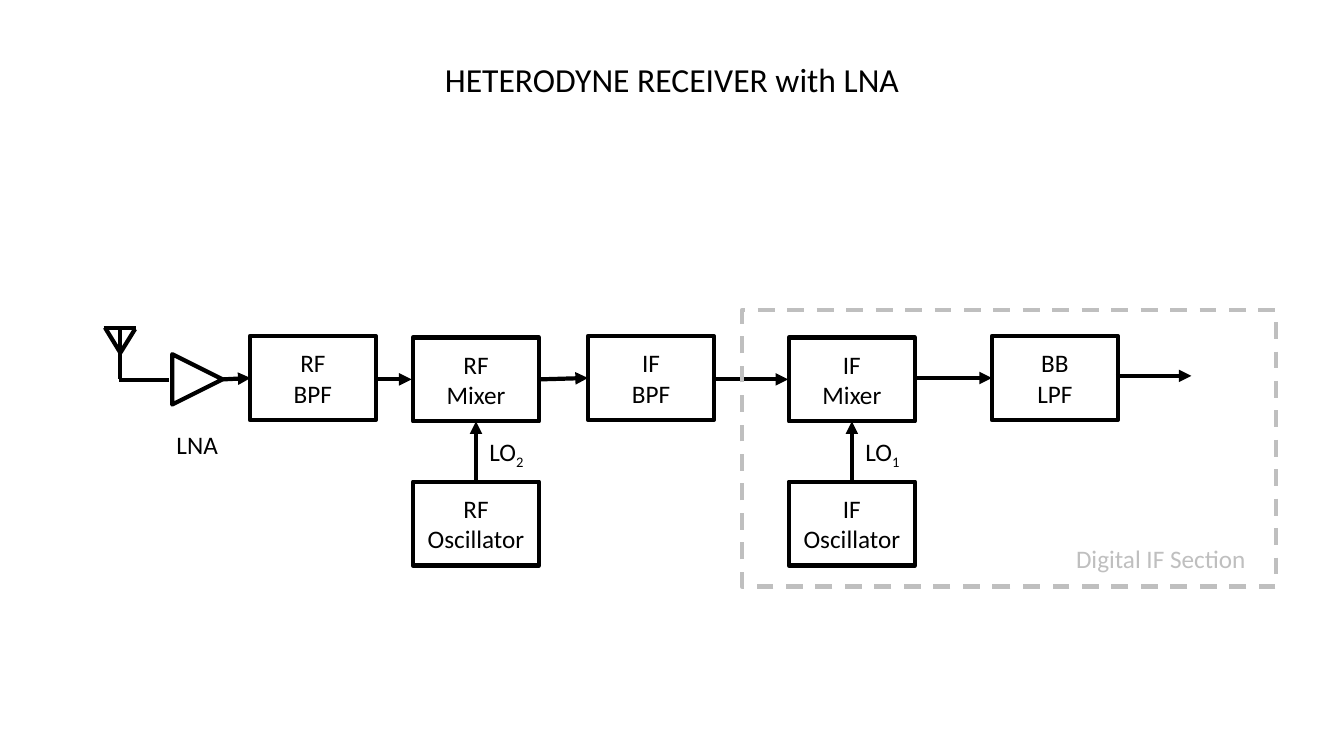
import pptx
import pptx.dml.color
import pptx.enum.dml
import pptx.enum.shapes
import pptx.enum.text
import pptx.oxml
import pptx.oxml.ns
import pptx.util

Pt = pptx.util.Pt
ALIGN = pptx.enum.text.PP_ALIGN
ANCHOR = pptx.enum.text.MSO_ANCHOR
SHAPE = pptx.enum.shapes.MSO_SHAPE
COLORS = {"ink": "000000", "digital": "BFBFBF"}
BLOCK_WIDTH, BLOCK_HEIGHT = 90, 60


def assign(target, formats):
    for attribute, value in formats.items():
        setattr(target, attribute, value)


class Diagram:
    font_name = "Calibri"
    body_size = 18
    title_size = 24
    line_width = 3

    def __init__(self, slide):
        self.slide = slide

    def color(self, key):
        return pptx.dml.color.RGBColor.from_string(COLORS[key])

    def stroke(self, line, color):
        line.color.rgb = self.color(color)
        line.width = Pt(self.line_width)

    def typeset(self, frame, text, size, color="ink", align=ALIGN.LEFT, subscript="", **formats):
        assign(frame, {"auto_size": pptx.enum.text.MSO_AUTO_SIZE.NONE, "word_wrap": False, **formats})
        paragraph = frame.paragraphs[0]
        paragraph.text = text
        paragraph.alignment = align
        if subscript:
            index = paragraph.add_run()
            index.text = subscript
            index.font._element.set("baseline", "-25000")
        for run in paragraph.runs:
            assign(run.font, {"name": self.font_name, "size": Pt(size)})
            run.font.color.rgb = self.color(color)

    def title(self, text, left, top, width, height):
        heading = self.slide.shapes.title
        assign(heading, {"left": Pt(left), "top": Pt(top), "width": Pt(width), "height": Pt(height)})
        self.typeset(heading.text_frame, text, self.title_size, align=ALIGN.CENTER,
                     vertical_anchor=ANCHOR.MIDDLE)

    def outline(self, kind, left, top, width, height, color="ink", dash=None, rotation=0):
        shape = self.slide.shapes.add_shape(kind, Pt(left), Pt(top), Pt(width), Pt(height))
        shape.shadow.inherit = False
        shape.fill.background()
        shape.rotation = rotation
        self.stroke(shape.line, color)
        if dash:
            shape.line.dash_style = dash
        return shape

    def block(self, text, left, top):
        stage = self.outline(SHAPE.RECTANGLE, left, top, BLOCK_WIDTH, BLOCK_HEIGHT)
        self.typeset(stage.text_frame, text, self.body_size, align=ALIGN.CENTER,
                     vertical_anchor=ANCHOR.MIDDLE, margin_left=0, margin_right=0)

    def label(self, text, left, top, width, color="ink", subscript=""):
        caption = self.slide.shapes.add_textbox(Pt(left), Pt(top), Pt(width), Pt(29))
        self.typeset(caption.text_frame, text, self.body_size, color, subscript=subscript,
                     word_wrap=True)

    def wire(self, x1, y1, x2, y2, arrow=False):
        link = self.slide.shapes.add_connector(
            pptx.enum.shapes.MSO_CONNECTOR.STRAIGHT, Pt(x1), Pt(y1), Pt(x2), Pt(y2))
        self.stroke(link.line, "ink")
        properties = link._element.spPr
        namespace = pptx.oxml.ns.nsdecls("a")
        if arrow:
            head = pptx.oxml.parse_xml(f'<a:tailEnd {namespace} type="triangle"/>')
            properties.find(pptx.oxml.ns.qn("a:ln")).append(head)
        properties.append(pptx.oxml.parse_xml(f"<a:effectLst {namespace}/>"))


def main():
    deck = pptx.Presentation()
    assign(deck, {"slide_width": Pt(960), "slide_height": Pt(540)})
    receiver = Diagram(deck.slides.add_slide(deck.slide_layouts[5]))
    receiver.title("HETERODYNE RECEIVER with LNA", 309, 38.5, 342, 36)

    antenna = [
        (85, 271.5, 121, 271.5),
        (86, 234, 86, 271),
        (75, 234, 86, 252),
        (96.5, 235, 86, 252),
        (74, 234.5, 97, 234.5),
    ]
    for segment in antenna:
        receiver.wire(*segment)

    signal_path = [
        (159, 271, 179, 270),
        (268, 271, 294, 271),
        (385, 271, 420, 270),
        (509, 271, 563, 271),
        (654.5, 270, 708.5, 270),
        (797, 268.5, 851, 268.5),
    ]
    for segment in signal_path:
        receiver.wire(*segment, arrow=True)

    filters = [
        ("RF\vBPF", 178.5),
        ("IF\vBPF", 420),
        ("BB\vLPF", 708.5),
    ]
    for name, left in filters:
        receiver.block(name, left, 240)

    mixer_top, oscillator_top = 241, 344
    for band, left, order in (("RF", 295, "2"), ("IF", 563.5, "1")):
        middle = left + BLOCK_WIDTH / 2
        receiver.block(f"{band}\vMixer", left, mixer_top)
        receiver.block(f"{band}\vOscillator", left, oscillator_top)
        receiver.wire(middle, oscillator_top, middle, mixer_top + BLOCK_HEIGHT, arrow=True)
        receiver.label("LO", middle + 2.5, 308, 40, subscript=order)

    receiver.outline(SHAPE.RECTANGLE, 530, 221.5, 381.5, 197.5, "digital",
                     pptx.enum.dml.MSO_LINE.DASH)
    receiver.label("Digital IF Section", 761.5, 384.5, 137, "digital")
    receiver.outline(SHAPE.ISOSCELES_TRIANGLE, 123, 253, 36, 36, rotation=90)
    receiver.label("LNA", 119, 303, 45)
    deck.save("out.pptx")


if __name__ == "__main__":
    main()
